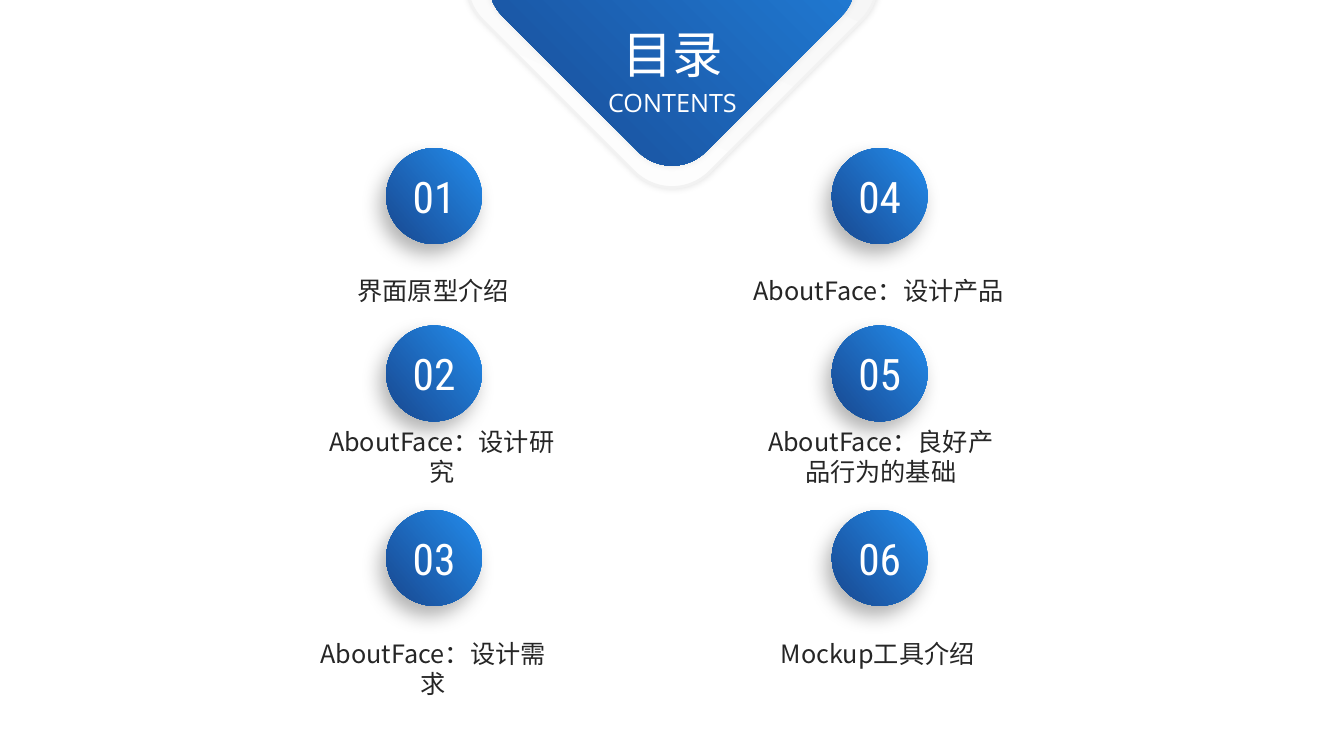
from lxml.etree import SubElement
from pptx import Presentation
from pptx.dml.color import RGBColor
from pptx.enum.shapes import MSO_SHAPE as Preset
from pptx.enum.text import MSO_ANCHOR as Anchor, PP_ALIGN as Align
from pptx.oxml.ns import qn
from pptx.util import Inches, Pt

COLORS = {"white": "FFFFFF", "pale": "F2F2F2", "bright": "238DED",
          "deep": "18478F", "ink": "262626", "black": "000000"}
BLUE = ("bright", "deep")
PAPER = ("white", "pale")
SOFT_SHADOW = {"alpha": 11, "blur": 5, "distance": 0, "direction": 0}
DROP_SHADOW = {"alpha": 30, "blur": 14, "distance": 8, "direction": 120}

TITLE = {"size": 36, "font": "Open Sans", "color": "white"}
SUBTITLE = {"size": 18, "font": "Open Sans", "color": "white"}
NUMBER = {"size": 31, "font": "Roboto Condensed", "color": "white"}
LABEL = {"size": 18, "font": "Noto Sans CJK SC", "color": "ink"}

BADGE = 0.95
BADGE_TOPS = (1.47, 3.23, 5.06)
LABEL_TOPS = (2.68, 4.18, 6.28)
# Each column: left edge of its badges, then (label, left, width, height)
COLUMNS = (
    (3.83, (("界面原型介绍", 3.04, 2.51, 0.4),
            ("AboutFace：设计研究", 3.07, 2.62, 0.71),
            ("AboutFace：设计需求", 3.04, 2.51, 0.71))),
    (8.25, (("AboutFace：设计产品", 7.29, 2.85, 0.4),
            ("AboutFace：良好产品行为的基础", 7.5, 2.47, 0.71),
            ("Mockup工具介绍", 7.45, 2.51, 0.4))),
)


def rgb(name):
    return RGBColor.from_string(COLORS[name])


def add_shadow(shape, alpha, blur, distance, direction):
    shape.shadow.inherit = False
    effects = shape.element.spPr.find(qn("a:effectLst"))
    shadow = SubElement(effects, qn("a:outerShdw"), blurRad=str(Pt(blur)),
                        dist=str(Pt(distance)), dir=str(direction * 60000),
                        algn="ctr", rotWithShape="0")
    color = SubElement(shadow, qn("a:srgbClr"), val=COLORS["black"])
    SubElement(color, qn("a:alpha"), val=str(alpha * 1000))


def add_gradient_shape(shapes, preset, bounds, colors, angle, shadow):
    """Add a borderless shape; angle is clockwise in degrees."""
    shape = shapes.add_shape(preset, *map(Inches, bounds))
    shape.fill.gradient()
    shape.fill.gradient_angle = 360 - angle
    for stop, color in zip(shape.fill.gradient_stops, colors):
        stop.color.rgb = rgb(color)
    shape.line.fill.background()
    add_shadow(shape, **shadow)
    return shape


def add_diamond(shapes, left, top, side, colors, angle):
    diamond = add_gradient_shape(shapes, Preset.ROUNDED_RECTANGLE,
                                 (left, top, side, side), colors, angle, SOFT_SHADOW)
    diamond.rotation = 45
    return diamond


def write(shape, text, style):
    para = shape.text_frame.paragraphs[0]
    para.alignment = Align.CENTER
    span = para.add_run()
    span.text = text
    formats = {"name": style["font"], "size": Pt(style["size"])}
    for name, value in formats.items():
        setattr(span.font, name, value)
    span.font.color.rgb = rgb(style["color"])
    SubElement(span.font._element, qn("a:ea"), typeface=style["font"])


def add_text(shapes, bounds, text, style):
    box = shapes.add_textbox(*map(Inches, bounds))
    box.text_frame.word_wrap = True
    write(box, text, style)


def add_badge(shapes, left, top, number):
    badge = add_gradient_shape(shapes, Preset.OVAL, (left, top, BADGE, BADGE),
                               BLUE, 140, DROP_SHADOW)
    badge.text_frame.vertical_anchor = Anchor.MIDDLE
    write(badge, f"{number:02}", NUMBER)


def add_column(page, badge_left, labels, first_number):
    shapes = page.shapes.add_group_shape().shapes
    rows = zip(BADGE_TOPS, LABEL_TOPS, labels)
    for number, (badge_top, label_top, label) in enumerate(rows, first_number):
        text, left, width, height = label
        add_badge(shapes, badge_left, badge_top, number)
        add_text(shapes, (left, label_top, width, height), text, LABEL)


def add_header(page):
    frame = add_diamond(page.shapes, 5.07, -1.77, 3.19, PAPER, 250)
    frame.line.color.rgb = rgb("pale")
    frame.line.width = Pt(2)
    add_diamond(page.shapes, 5.24, -1.6, 2.85, BLUE, 90)
    add_text(page.shapes, (4.77, 0.18, 3.8, 0.71), "目录", TITLE)
    add_text(page.shapes, (4.77, 0.82, 3.8, 0.4), "CONTENTS", SUBTITLE)


def main():
    deck = Presentation()
    deck.slide_width, deck.slide_height = Inches(13.33), Inches(7.5)
    page = deck.slides.add_slide(deck.slide_layouts[6])
    add_header(page)
    for index, (badge_left, labels) in enumerate(COLUMNS):
        add_column(page, badge_left, labels, index * len(labels) + 1)
    deck.save("out.pptx")


if __name__ == "__main__":
    main()
